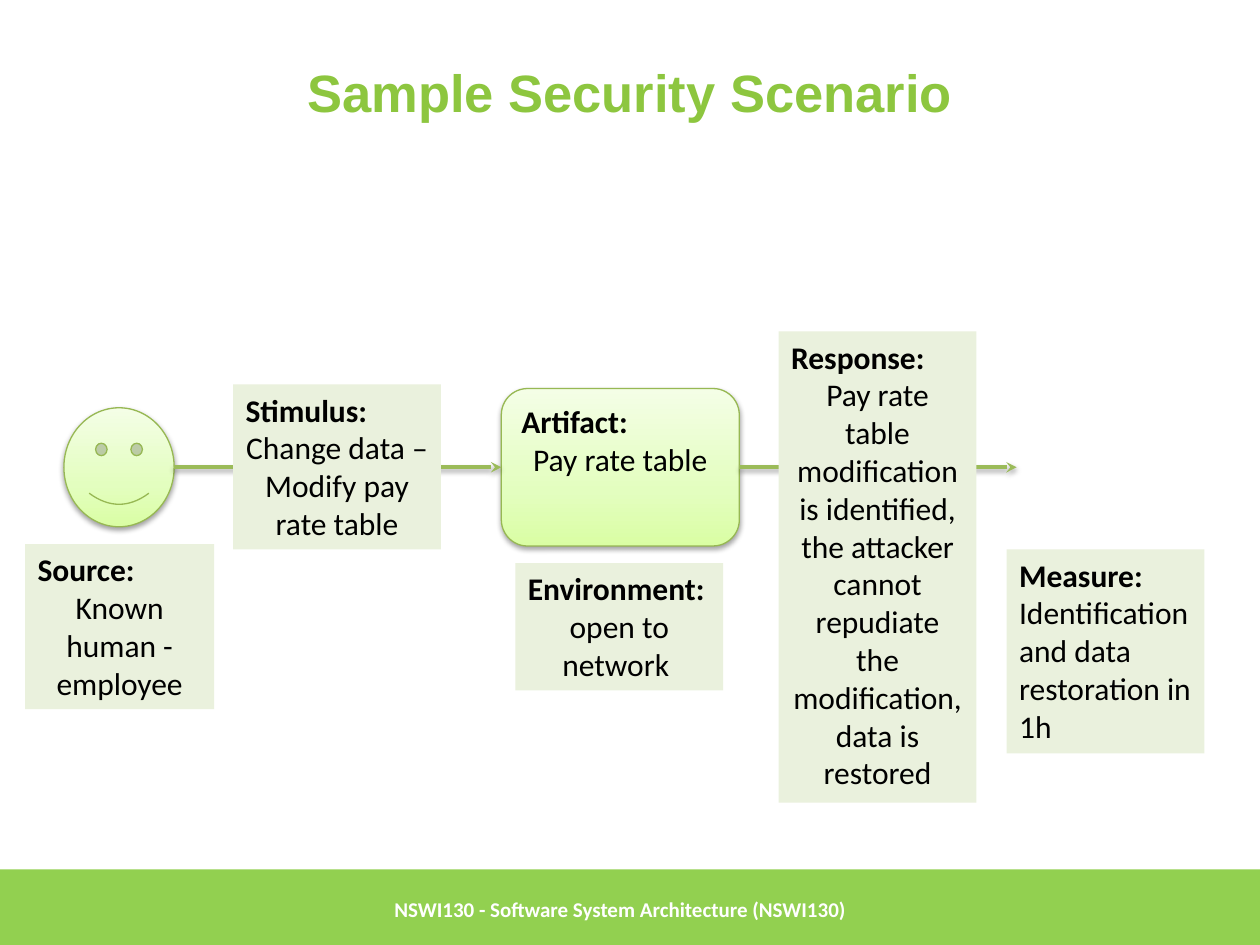
from lxml import etree
from pptx import Presentation
from pptx.dml.color import RGBColor
from pptx.enum.shapes import MSO_CONNECTOR, MSO_SHAPE
from pptx.enum.text import MSO_ANCHOR, MSO_AUTO_SIZE, PP_ALIGN
from pptx.oxml import parse_xml
from pptx.oxml.ns import qn
from pptx.util import Pt

RECTANGLE, ROUNDED, SMILEY = MSO_SHAPE.RECTANGLE, MSO_SHAPE.ROUNDED_RECTANGLE, MSO_SHAPE.SMILEY_FACE
STRAIGHT = MSO_CONNECTOR.STRAIGHT
TOP, MIDDLE = MSO_ANCHOR.TOP, MSO_ANCHOR.MIDDLE
LEFT, CENTER = PP_ALIGN.LEFT, PP_ALIGN.CENTER
GROW = MSO_AUTO_SIZE.SHAPE_TO_FIT_TEXT

WHITE = RGBColor(0xFF, 0xFF, 0xFF)
BLACK = RGBColor(0x00, 0x00, 0x00)
TITLE_GREEN = RGBColor(0x8D, 0xC6, 0x3F)
FOOTER_GREEN = RGBColor(0x92, 0xD0, 0x50)
CARD_GREEN = RGBColor(0xEA, 0xF1, 0xDD)
OUTLINE_GREEN = RGBColor(0x97, 0xB8, 0x53)
ARROW_GREEN = RGBColor(0x9B, 0xBB, 0x59)
GRADIENT = [(0, RGBColor(0xDA, 0xFE, 0xA4)), (35, RGBColor(0xE3, 0xFE, 0xBF)),
            (100, RGBColor(0xF4, 0xFE, 0xE6))]

A_NS = 'xmlns:a="http://schemas.openxmlformats.org/drawingml/2006/main"'
FLOW_Y = 267  # height of the arrows

# heading, body, body alignment, box
CARDS = [
    ("Source:", "Known human - employee", CENTER, (14.4, 311, 108, 94.3)),
    ("Stimulus:", "Change data – Modify pay rate table", CENTER, (133.2, 219.6, 118.8, 94.3)),
    ("Environment:", "open to network ", CENTER, (294.5, 321.8, 118.8, 72.7)),
    ("Response:", "Pay rate table modification is identified, the attacker cannot "
     "repudiate the modification, data is restored", CENTER, (445, 189.4, 113, 269.3)),
    ("Measure:", "Identification and data restoration in 1h", LEFT, (575.3, 313.9, 113, 116.6)),
]


def add_run(paragraph, text, size, color, bold, font="Calibri"):
    run = paragraph.add_run()
    run.text = text
    run.font.name = font
    run.font.size = Pt(size)
    run.font.bold = bold
    run.font.color.rgb = color


def add_box(slide, kind, box):
    shape = slide.shapes.add_shape(kind, *map(Pt, box))
    shape.shadow.inherit = False
    shape.line.fill.background()
    return shape


def add_label(slide, box, text, size, color, font, alignment):
    label = slide.shapes.add_textbox(*map(Pt, box))
    frame = label.text_frame
    frame.word_wrap = True
    frame.vertical_anchor = MIDDLE
    frame.paragraphs[0].alignment = alignment
    add_run(frame.paragraphs[0], text, size, color, True, font)


def cast_shadow(shape):
    properties = shape._element.spPr
    for old in properties.findall(qn("a:effectLst")):
        properties.remove(old)
    properties.append(parse_xml(
        f'<a:effectLst {A_NS}><a:outerShdw blurRad="{Pt(3.1)}" dist="{Pt(1.6)}" dir="5400000" '
        'rotWithShape="0"><a:srgbClr val="000000"><a:alpha val="37000"/></a:srgbClr>'
        '</a:outerShdw></a:effectLst>'))


def add_glossy_box(slide, kind, box):
    """Outlined, shadowed shape whose gradient rises from the bottom edge."""
    shape = add_box(slide, kind, box)
    shape.line.color.rgb = OUTLINE_GREEN
    shape.line.width = Pt(0.75)
    stops = "".join(f'<a:gs pos="{position * 1000}"><a:srgbClr val="{color}"/></a:gs>'
                    for position, color in GRADIENT)
    shape._element.spPr.find(qn("a:prstGeom")).addnext(parse_xml(
        f'<a:gradFill {A_NS} rotWithShape="1"><a:gsLst>{stops}</a:gsLst>'
        '<a:lin ang="16200000" scaled="0"/></a:gradFill>'))
    cast_shadow(shape)
    return shape


def write_entry(shape, heading, body, alignment):
    frame = shape.text_frame
    frame.word_wrap = True
    frame.vertical_anchor = TOP
    first = frame.paragraphs[0]
    first.alignment = LEFT
    add_run(first, heading, 18, BLACK, True)
    second = frame.add_paragraph()
    second.alignment = alignment
    add_run(second, body, 18, BLACK, False)


def add_card(slide, heading, body, alignment, box):
    card = add_box(slide, RECTANGLE, box)
    card.fill.solid()
    card.fill.fore_color.rgb = CARD_GREEN
    write_entry(card, heading, body, alignment)
    card.text_frame.auto_size = GROW


def add_arrow(slide, start, end):
    arrow = slide.shapes.add_connector(STRAIGHT, Pt(start), Pt(FLOW_Y), Pt(end), Pt(FLOW_Y))
    arrow.line.color.rgb = ARROW_GREEN
    arrow.line.width = Pt(2)
    etree.SubElement(arrow.line._get_or_add_ln(), qn("a:tailEnd"), type="stealth")
    cast_shadow(arrow)
    return arrow


def add_footer(slide, box):
    left, top, width, height = box
    bar = add_box(slide, RECTANGLE, box)
    bar.fill.solid()
    bar.fill.fore_color.rgb = FOOTER_GREEN
    add_label(slide, (left + 218.2, top, 433.4, height),
              "NSWI130 - Software System Architecture (NSWI130)", 12, WHITE, "Calibri", LEFT)


def add_scenario(slide):
    attacker = add_glossy_box(slide, SMILEY, (36.5, FLOW_Y - 34, 63, 68))
    attacker.adjustments[0] = 0.04653
    artifact = add_glossy_box(slide, ROUNDED, (286.5, FLOW_Y - 45, 136, 90))
    write_entry(artifact, "Artifact:", "Pay rate table", CENTER)
    add_arrow(slide, 99.5, 286.5).end_connect(artifact, 1)
    add_arrow(slide, 422.5, 581).begin_connect(artifact, 3)
    for card in CARDS:
        add_card(slide, *card)


def main():
    presentation = Presentation()
    presentation.slide_width, presentation.slide_height = Pt(720), Pt(540)
    slide = presentation.slides.add_slide(presentation.slide_layouts[6])
    add_footer(slide, (0, 496.8, 720, 45.4))
    add_label(slide, (36, 21.6, 648, 61.2), "Sample Security Scenario", 30, TITLE_GREEN,
              "Arial", CENTER)
    add_scenario(slide)
    presentation.save("out.pptx")


if __name__ == "__main__":
    main()
